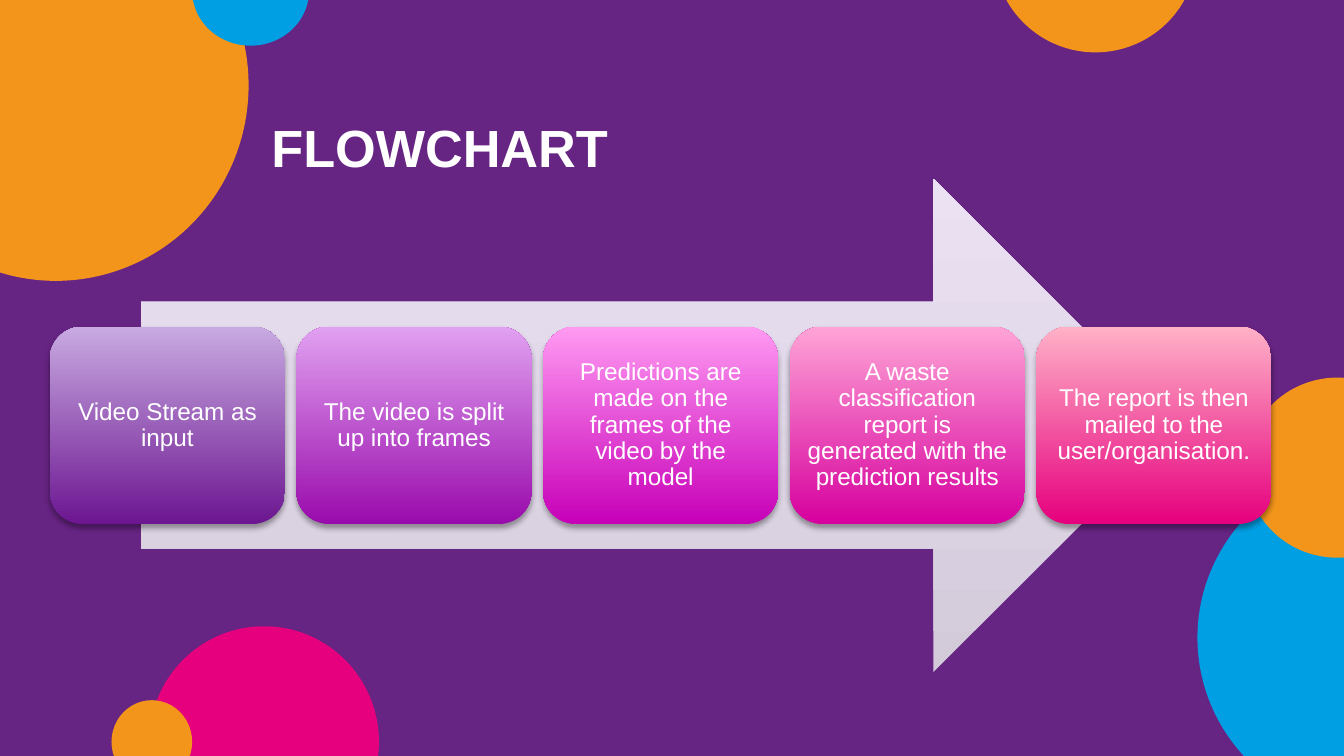
from lxml.etree import SubElement
from pptx import Presentation
from pptx.dml.color import RGBColor
from pptx.enum.shapes import MSO_SHAPE
from pptx.enum.text import MSO_ANCHOR, MSO_AUTO_SIZE, PP_ALIGN
from pptx.oxml.ns import qn
from pptx.util import Inches, Pt

COLORS = {
    "purple": "662483",
    "blue": "009FE3",
    "orange": "F4951B",
    "pink": "E6007E",
    "white": "FFFFFF",
    "arrow_bottom": "D3CBDA",
    "arrow_top": "EBE1F3",
}
FONT = "Arial"
TITLE = "FLOWCHART"
CIRCLES = [
    ("blue", 8.91, 3.44, 2.64, 2.61),
    ("orange", 7.39, -1.14, 1.52, 1.53),
    ("pink", 1.11, 4.66, 1.71, 1.72),
    ("orange", -1.02, -0.82, 2.87, 2.91),
    ("orange", 0.83, 5.21, 0.6, 0.62),
    ("orange", 9.27, 2.81, 1.36, 1.34),
    ("blue", 1.43, -0.48, 0.87, 0.82),
]
STEPS = [
    ("Video Stream as input", "6C1691", "C8AAE1"),
    ("The video is split up into frames", "990BAC", "E1A1F1"),
    ("Predictions are made on the frames of the video by the model", "C700B8", "FF9AF2"),
    ("A waste classification report is generated with the prediction results", "D6009E", "FFA4D6"),
    ("The report is then mailed to the user/organisation.", "E6007E", "FFB1C7"),
]
SLIDE_WIDTH = 10
SLIDE_HEIGHT = SLIDE_WIDTH * 9 / 16
FIRST_LEFT, LAST_LEFT = 0.37, 7.71
STEP_TOP, STEP_WIDTH, STEP_HEIGHT = 2.43, 1.75, 1.47


def rgb(name):
    return RGBColor.from_string(COLORS[name])


def add_shape(page, kind, left, top, width, height):
    shape = page.shapes.add_shape(
        kind, Inches(left), Inches(top), Inches(width), Inches(height)
    )
    shape.shadow.inherit = False
    shape.line.fill.background()
    return shape


def fill_upward(shape, bottom, top):
    shape.fill.gradient()
    shape.fill.gradient_angle = 90
    for stop, color, position in zip(shape.fill.gradient_stops, (bottom, top), (0, 1)):
        stop.color.rgb = RGBColor.from_string(color)
        stop.position = position


def add_shadow(shape):
    effects = shape.element.spPr.find(qn("a:effectLst"))
    shadow = SubElement(
        effects, qn("a:outerShdw"), blurRad=str(Pt(3.1)), dist=str(Pt(1.8)),
        dir="5400000", algn="ctr", rotWithShape="0",
    )
    color = SubElement(shadow, qn("a:srgbClr"), val="000000")
    SubElement(color, qn("a:alpha"), val="35000")


def style(paragraph, size, align, bold=False):
    paragraph.alignment = align
    paragraph.font.name = FONT
    paragraph.font.size = Pt(size)
    paragraph.font.bold = bold
    paragraph.font.color.rgb = rgb("white")


def add_title(page):
    title = page.shapes.title
    title.left, title.top = Inches(1.92), Inches(0.81)
    title.width, title.height = Inches(4.74), Inches(0.57)
    frame = title.text_frame
    frame.text = TITLE
    frame.word_wrap = True
    frame.vertical_anchor = MSO_ANCHOR.TOP
    frame.auto_size = MSO_AUTO_SIZE.SHAPE_TO_FIT_TEXT
    style(frame.paragraphs[0], 28, PP_ALIGN.LEFT, bold=True)


def add_step(page, left, text, bottom, top):
    box = add_shape(page, MSO_SHAPE.ROUNDED_RECTANGLE, left, STEP_TOP, STEP_WIDTH, STEP_HEIGHT)
    fill_upward(box, bottom, top)
    add_shadow(box)
    frame = box.text_frame
    frame.text = text
    frame.word_wrap = True
    frame.vertical_anchor = MSO_ANCHOR.MIDDLE
    frame.margin_left = frame.margin_right = Inches(0.05)
    frame.margin_top = frame.margin_bottom = Inches(0.05)
    para = frame.paragraphs[0]
    para.line_spacing = 0.9
    style(para, 13, PP_ALIGN.CENTER)


def main():
    deck = Presentation()
    deck.slide_width, deck.slide_height = Inches(SLIDE_WIDTH), Inches(SLIDE_HEIGHT)
    page = deck.slides.add_slide(deck.slide_layouts[5])
    page.background.fill.solid()
    page.background.fill.fore_color.rgb = rgb("purple")

    for color, *place in CIRCLES:
        circle = add_shape(page, MSO_SHAPE.OVAL, *place)
        circle.fill.solid()
        circle.fill.fore_color.rgb = rgb(color)

    arrow = add_shape(page, MSO_SHAPE.RIGHT_ARROW, 1.05, 1.33, 7.73, 3.67)
    fill_upward(arrow, COLORS["arrow_bottom"], COLORS["arrow_top"])

    pitch = (LAST_LEFT - FIRST_LEFT) / (len(STEPS) - 1)
    for index, step in enumerate(STEPS):
        add_step(page, FIRST_LEFT + index * pitch, *step)

    add_title(page)
    deck.save("out.pptx")


if __name__ == "__main__":
    main()
